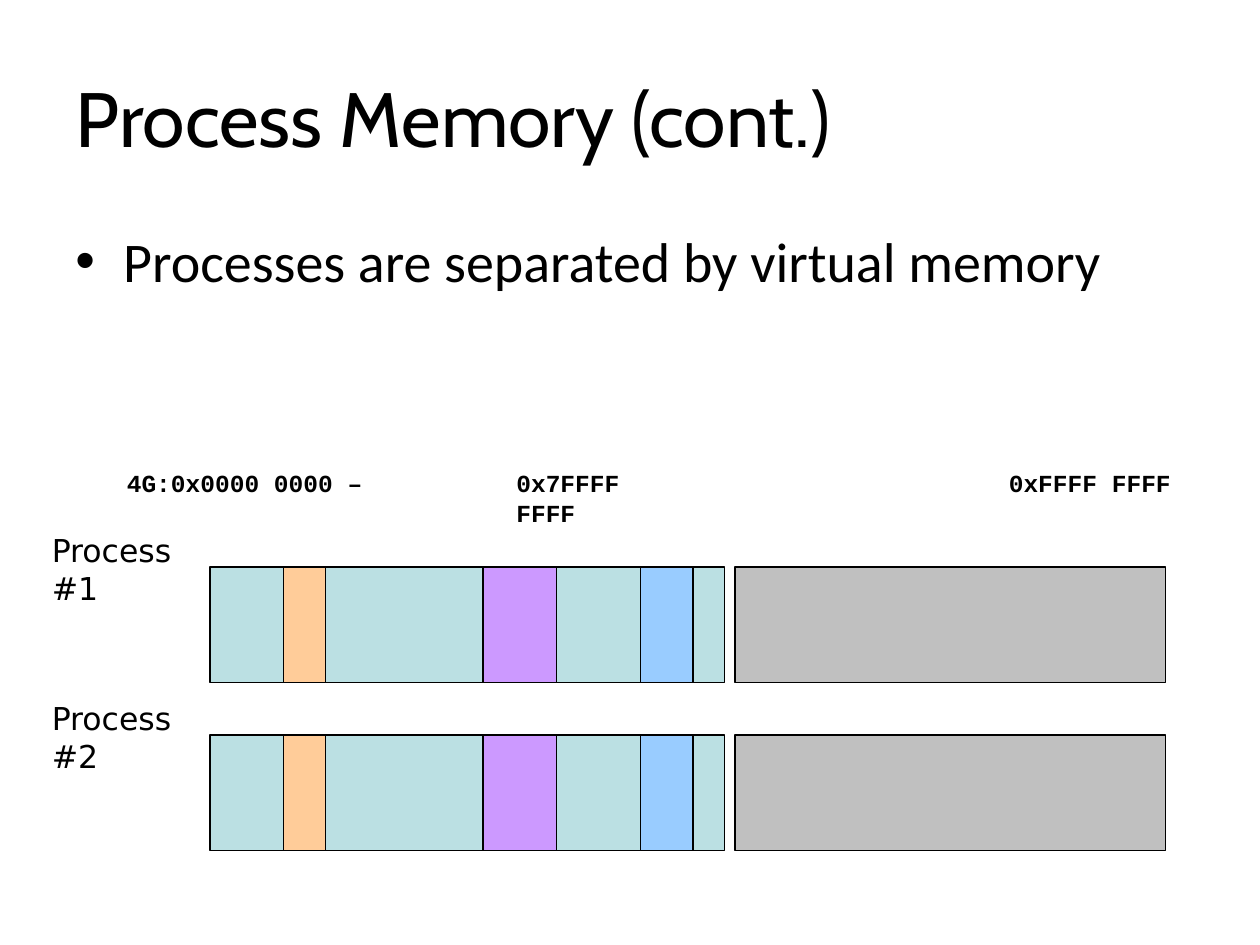
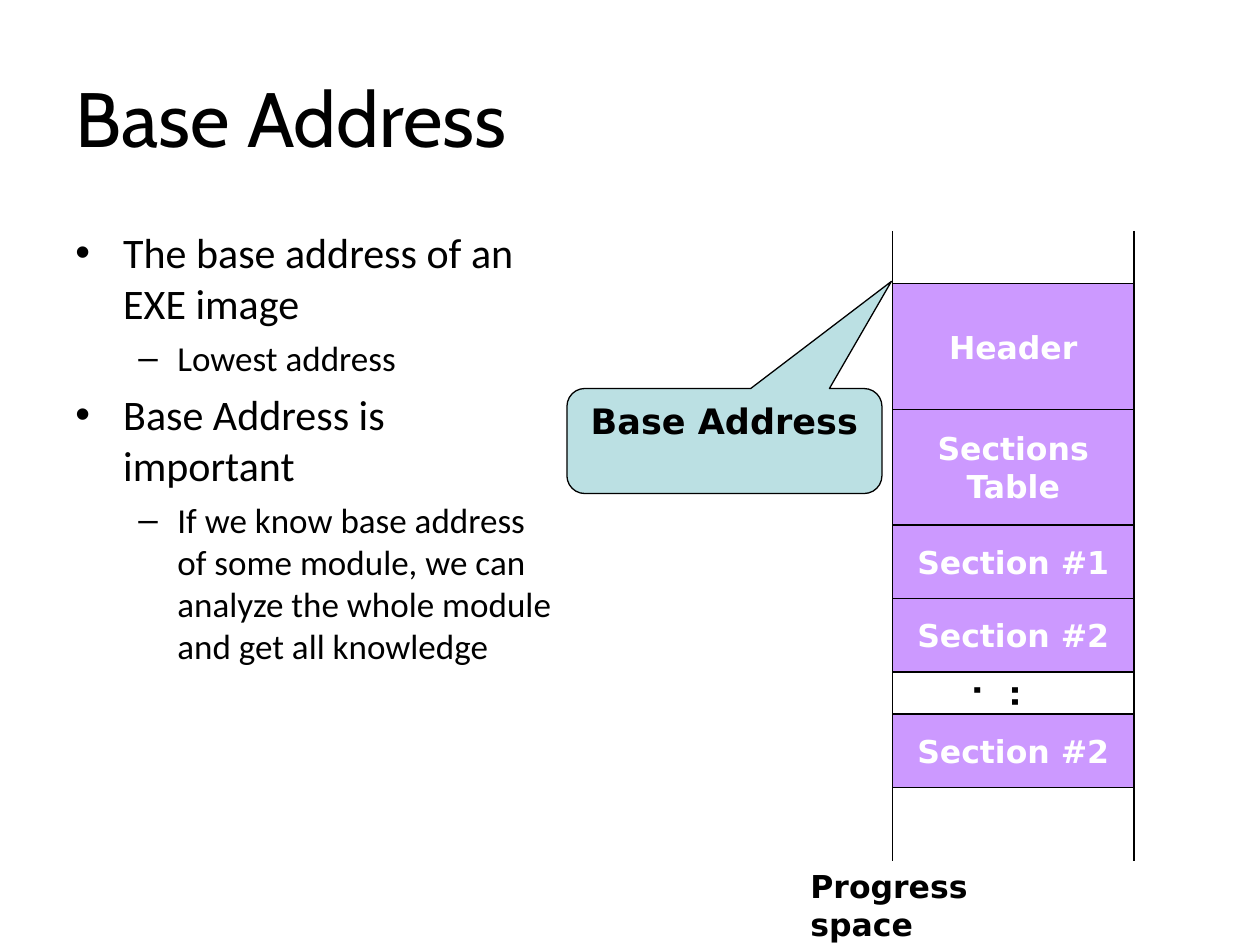
"""Build two slides on process memory and the base address."""
import dataclasses

import lxml.etree
import pptx
import pptx.dml.color
import pptx.enum.shapes
import pptx.enum.text
import pptx.oxml.ns
import pptx.util

SHAPE = pptx.enum.shapes.MSO_SHAPE
ALIGN = pptx.enum.text.PP_ALIGN
ANCHOR = pptx.enum.text.MSO_ANCHOR
FIT = pptx.enum.text.MSO_AUTO_SIZE


@dataclasses.dataclass(frozen=True)
class Theme:
    """Hold the colours, fonts and sizes of the deck."""
    black: str = "000000"
    white: str = "FFFFFF"
    teal: str = "BBE0E3"
    gray: str = "C0C0C0"
    blue: str = "99CCFF"
    violet: str = "CC99FF"
    orange: str = "FFCC99"
    head: str = "Cabin"
    body: str = "Calibri"
    code: str = "Courier New"
    label: str = "DejaVu Sans"
    title: int = 44
    large: int = 32
    point: int = 24
    sub: int = 20
    small: int = 18
    tiny: int = 14
    line: float = 0.74


THEME = Theme()


def cell(count):
    """Turn grid cells, twelve to the inch, into a length."""
    return pptx.util.Inches(count / 12)


def tint(code):
    """Turn a hex code into a colour."""
    return pptx.dml.color.RGBColor.from_string(code)


def style(para, size, font, color=THEME.black, bold=False):
    """Format each run of a paragraph."""
    for run in para.runs:
        run.font.size = pptx.util.Pt(size)
        run.font.name = font
        run.font.bold = bold
        run.font.color.rgb = tint(color)


def start(deck, text):
    """Add a slide with its title."""
    slide = deck.slides.add_slide(deck.slide_layouts[5])
    title = slide.shapes.title
    title.left, title.top, title.width, title.height = map(cell, (6, 3.6, 108, 15))
    frame = title.text_frame
    frame.text = text
    frame.auto_size = FIT.NONE
    frame.vertical_anchor = ANCHOR.MIDDLE
    para = frame.paragraphs[0]
    para.alignment = ALIGN.LEFT
    style(para, THEME.title, THEME.head)
    return slide


def block(slide, area, fill, kind=SHAPE.RECTANGLE):
    """Add an outlined shape in one colour."""
    shape = slide.shapes.add_shape(kind, *map(cell, area))
    shape.shadow.inherit = False
    shape.fill.solid()
    shape.fill.fore_color.rgb = tint(fill)
    shape.line.color.rgb = tint(THEME.black)
    shape.line.width = pptx.util.Pt(THEME.line)
    return shape


def write(shape, text, size, color, anchor, wrap):
    """Put centred bold text in a shape."""
    frame = shape.text_frame
    frame.text = text
    frame.word_wrap = wrap
    frame.vertical_anchor = anchor
    for para in frame.paragraphs:
        para.alignment = ALIGN.CENTER
        style(para, size, THEME.label, color, True)


def label(slide, area, text, size, font, bold=True, wrap=True, gap=0):
    """Add a text box that grows with its text."""
    frame = slide.shapes.add_textbox(*map(cell, area)).text_frame
    frame.text = text
    frame.word_wrap = wrap
    frame.auto_size = FIT.SHAPE_TO_FIT_TEXT
    para = frame.paragraphs[0]
    para.space_before = pptx.util.Pt(gap)
    style(para, size, font, bold=bold)
    return frame


def bullet(para, mark, left, hang):
    """Give a paragraph a bullet and a hanging indent."""
    props = para._p.get_or_add_pPr()
    props.set("marL", str(pptx.util.Inches(left)))
    props.set("indent", str(-pptx.util.Inches(hang)))
    qn = pptx.oxml.ns.qn
    lxml.etree.SubElement(props, qn("a:buFont"), typeface="Arial")
    lxml.etree.SubElement(props, qn("a:buChar"), char=mark)


def points(slide, area, items):
    """Add a list of (level, size, gap, text) items."""
    marks = (("•", 0.38, 0.38), ("–", 0.81, 0.31))
    frame = slide.shapes.add_textbox(*map(cell, area)).text_frame
    frame.word_wrap = True
    frame.text = "\n".join(item[-1] for item in items)
    for para, (level, size, gap, _) in zip(frame.paragraphs, items):
        para.level = level
        para.space_before = pptx.util.Pt(gap)
        style(para, size, THEME.body)
        bullet(para, *marks[level])


def rail(slide, x, top, foot):
    """Draw an upright line."""
    line = slide.shapes.add_connector(
        pptx.enum.shapes.MSO_CONNECTOR.STRAIGHT, *map(cell, (x, top, x, foot)))
    line.line.color.rgb = tint(THEME.black)
    line.line.width = pptx.util.Pt(THEME.line)
    props = line._element.spPr
    lxml.etree.SubElement(props, pptx.oxml.ns.qn("a:effectLst"))


def memory(deck):
    """Build the slide with one memory bar per process."""
    slide = start(deck, "Process Memory (cont.)")
    points(slide, (6, 21, 108, 20.25),
           [(0, THEME.large, 8, "Processes are separated by virtual memory")])
    marks = ((10.9, 26.3, "4G:0x0000 0000 – "), (48, 19.2, "0x7FFFF FFFF"),
             (94.9, 17.9, "0xFFFF FFFF"))
    for x, wide, text in marks:
        label(slide, (x, 44, wide, 4.1), text, THEME.tiny, THEME.code, wrap=False)
    parts = ((20, 49, THEME.teal), (70, 41, THEME.gray), (61, 5, THEME.blue),
             (46, 7, THEME.violet), (27, 4, THEME.orange))
    for row in range(2):
        top = 54 + 16 * row
        for x, wide, fill in parts:
            block(slide, (x, top, wide, 11), fill)
        label(slide, (3.75, top - 4, 17.6, 4.8), f"Process #{row + 1}",
              THEME.small, THEME.label, bold=False)


def base(deck):
    """Build the slide with the module layout in memory."""
    slide = start(deck, "Base Address")
    points(slide, (6, 21, 48, 59.4), [
        (0, THEME.point, 6, "The base address of an EXE image"),
        (1, THEME.sub, 5, "Lowest address"),
        (0, THEME.point, 6, "Base Address is important"),
        (1, THEME.sub, 5, "If we know base address of some module, we can "
                          "analyze the whole module and get all knowledge")])
    left, wide = 85, 23
    for x in (left, left + wide):
        rail(slide, x, 22, 82)
    stack = ((12, "Header"), (11, "Sections\nTable"), (7, "Section #1"),
             (7, "Section #2"), (4, None), (7, "Section #2"))
    top = 27
    for high, text in stack:
        if text:
            shape = block(slide, (left, top, wide, high), THEME.violet)
            write(shape, text, THEME.small, THEME.white, ANCHOR.MIDDLE, False)
        top += high
    dots = label(slide, (94, 64, 6, 5), "...", THEME.small, THEME.label, gap=11.2)
    dots.margin_left = dots.margin_right = pptx.util.Inches(0.05)
    dots.margin_top = dots.margin_bottom = pptx.util.Inches(0.1)
    dots._txBody.bodyPr.set("vert", "eaVert")
    label(slide, (76, 82, 28, 4.8), "Progress space", THEME.small, THEME.label,
          gap=11.2)
    note = block(slide, (54, 37, 30, 10), THEME.teal, SHAPE.ROUNDED_RECTANGULAR_CALLOUT)
    for slot, value in enumerate((0.53, -1.52, 0.17)):
        note.adjustments[slot] = value
    write(note, "Base Address", THEME.sub, THEME.black, ANCHOR.TOP, True)


def main():
    """Make the deck and save it."""
    deck = pptx.Presentation()
    deck.slide_width, deck.slide_height = cell(120), cell(90)
    memory(deck)
    base(deck)
    deck.save("out.pptx")


main()
